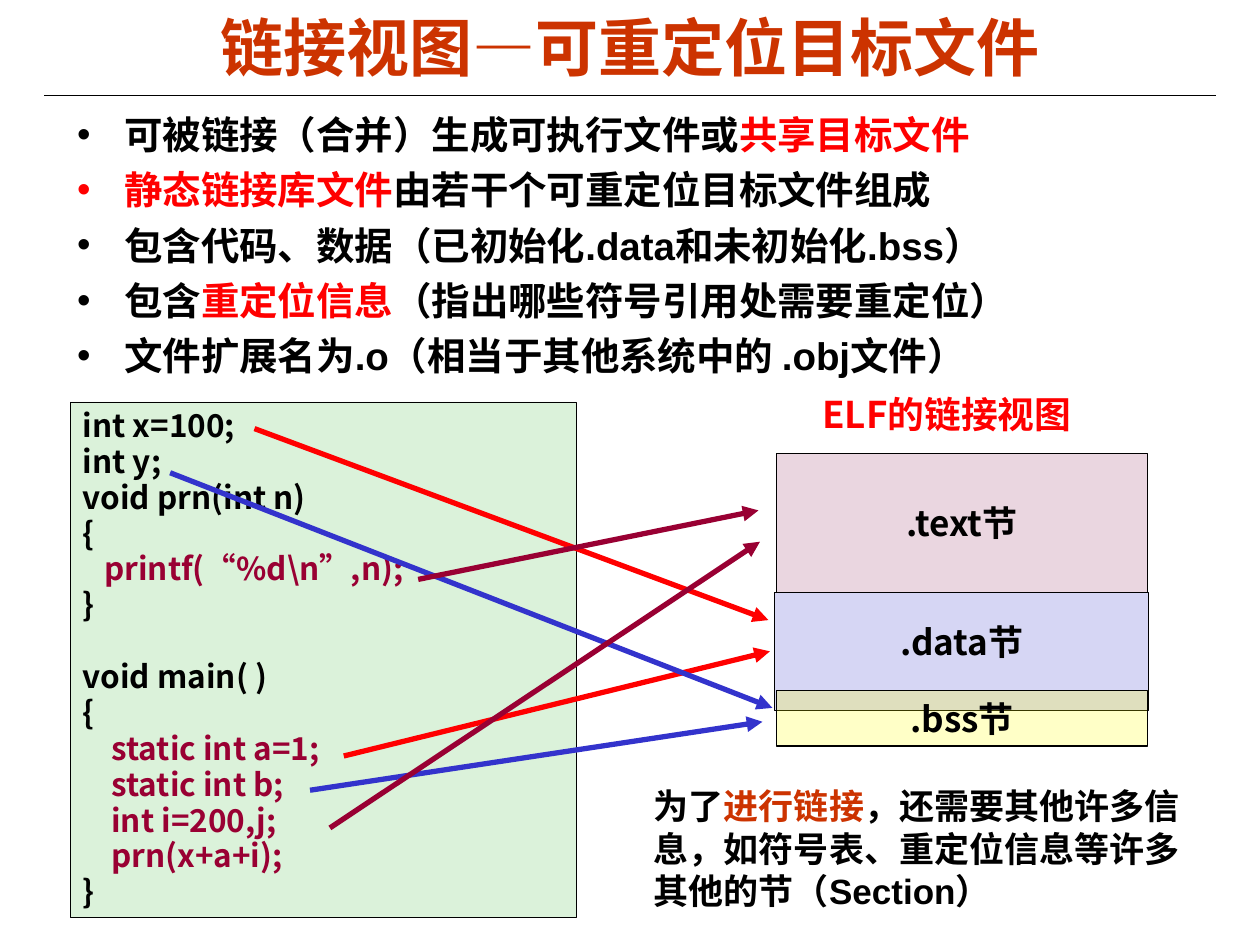
"""Build a slide on the linking view of a relocatable object file."""
import pptx
import pptx.util
import pptx.dml.color
import pptx.enum.shapes
import pptx.enum.text
import pptx.oxml.ns
from lxml import etree

Cm, Pt = pptx.util.Cm, pptx.util.Pt
RGB = pptx.dml.color.RGBColor.from_string
Align = pptx.enum.text.PP_ALIGN
Anchor = pptx.enum.text.MSO_ANCHOR
qn = pptx.oxml.ns.qn


class Theme:
    ink, rust, red = "000000", "CC3300", "FF0000"
    blue, wine, mint = "3333CC", "990033", "DBF2DA"
    plum, gold = "993366", "FFFF00"
    head, list, label, note, code = 36, 22, 21, 20, 18
    sans, cjk = "Arial", "Noto Sans CJK SC"


def write(frame, rows, size, face, form):
    """Fill a frame with rows of (text, colour) runs."""
    frame.word_wrap = True
    frame.auto_size = pptx.enum.text.MSO_AUTO_SIZE.NONE
    for n, row in enumerate(rows):
        para = frame.paragraphs[0] if n == 0 else frame.add_paragraph()
        for key, value in form.items():
            if n or key != "space_before":
                setattr(para, key, value)
        for text, color in row:
            run = para.add_run()
            run.text = text
            font = {"size": Pt(size), "name": face, "bold": True}
            for key, value in font.items():
                setattr(run.font, key, value)
            run.font.color.rgb = RGB(color)
            east = etree.SubElement(run.font._element, qn("a:ea"))
            east.set("typeface", Theme.cjk)


def draw(start, end, color, width):
    """Add a straight line and return its line properties."""
    kind = pptx.enum.shapes.MSO_CONNECTOR.STRAIGHT
    link = slide.shapes.add_connector(kind, *map(Cm, start + end))
    link.line.color.rgb = RGB(color)
    link.line.width = Pt(width)
    etree.SubElement(link._element.spPr, qn("a:effectLst"))
    return link._element.spPr.find(qn("a:ln"))


deck = pptx.Presentation()
deck.slide_width, deck.slide_height = Cm(25.4), Cm(19.05)
slide = deck.slides.add_slide(deck.slide_layouts[1])
title, body = slide.placeholders
spots = [(title, (1.27, 0.15, 22.86, 1.55)), (body, (1.3, 2.06, 22.86, 5.94))]
for item, spot in spots:
    for key, value in zip(("left", "top", "width", "height"), spot):
        setattr(item, key, Cm(value))

draw((0.89, 1.93), (24.51, 1.93), Theme.ink, 0.75)

title.text_frame.vertical_anchor = Anchor.MIDDLE
write(title.text_frame, [[("链接视图—可重定位目标文件", Theme.rust)]],
      Theme.head, Theme.sans, {"alignment": Align.CENTER})

points = [
    [("可被链接（合并）生成可执行文件或", Theme.ink), ("共享目标文件", Theme.red)],
    [("静态链接库文件", Theme.red), ("由若干个可重定位目标文件组成", Theme.ink)],
    [("包含代码、数据（已初始化.data和未初始化.bss）", Theme.ink)],
    [("包含", Theme.ink), ("重定位信息", Theme.red),
     ("（指出哪些符号引用处需要重定位）", Theme.ink)],
    [("文件扩展名为.o（相当于其他系统中的 .obj文件）", Theme.ink)],
]
write(body.text_frame, points, Theme.list, Theme.sans,
      {"line_spacing": Pt(27.6), "space_before": Pt(4.1)})
for para in body.text_frame.paragraphs:
    props = para._p.get_or_add_pPr()
    props.set("marL", str(Cm(0.95)))
    props.set("indent", str(-Cm(0.95)))
    etree.SubElement(props, qn("a:buChar")).set("char", "•")

code = [
    ("int x=100;", Theme.ink),
    ("int y;", Theme.ink),
    ("void prn(int n)", Theme.ink),
    ("{", Theme.ink),
    ("   printf(“%d\\n”,n);", Theme.wine),
    ("}", Theme.ink),
    ("void main( )", Theme.ink),
    ("{", Theme.ink),
    ("    static int a=1;", Theme.wine),
    ("    static int b;", Theme.wine),
    ("    int i=200,j;", Theme.wine),
    ("    prn(x+a+i);", Theme.wine),
    ("}", Theme.ink),
]
pitch = Pt(20.5)
mid = {"alignment": Align.CENTER}
boxes = [
    ((1.42, 8.1, 10.19, 10.39), Theme.mint, 100, 0.25, [[line] for line in code],
     Theme.code, Anchor.TOP, 0.13,
     {"alignment": Align.LEFT, "line_spacing": pitch}),
    ((15.65, 9.14, 7.49, 2.8), Theme.plum, 20, 0.75, [[(".text节", Theme.ink)]],
     Theme.note, Anchor.MIDDLE, 0.13, mid),
    ((15.62, 11.94, 7.54, 2.39), Theme.blue, 20, 0.75, [[(".data节", Theme.ink)]],
     Theme.note, Anchor.MIDDLE, 0.53, mid),
    ((15.65, 13.92, 7.49, 1.12), Theme.gold, 22, 0.75, [[(".bss节", Theme.ink)]],
     Theme.note, Anchor.MIDDLE, 0.13, mid),
]
for spot, fill, alpha, width, rows, size, anchor, foot, form in boxes:
    kind = pptx.enum.shapes.MSO_SHAPE.RECTANGLE
    box = slide.shapes.add_shape(kind, *map(Cm, spot))
    box.shadow.inherit = False
    box.fill.solid()
    box.fill.fore_color.rgb = RGB(fill)
    if alpha < 100:
        tint = box._element.spPr.find(qn("a:solidFill"))[0]
        etree.SubElement(tint, qn("a:alpha")).set("val", str(alpha * 1000))
    box.line.color.rgb = RGB(Theme.ink)
    box.line.width = Pt(width)
    box.text_frame.vertical_anchor = anchor
    box.text_frame.margin_bottom = Cm(foot)
    write(box.text_frame, rows, size, Theme.cjk, form)
    for para in box.text_frame.paragraphs:
        if para.text == "void main( )":
            para.space_before = pitch

notes = [
    ((16.33, 7.77, 6.2, 1.14), [[("ELF的链接视图", Theme.red)]],
     Theme.label, Theme.cjk, {}),
    ((12.93, 15.7, 11.4, 2.79),
     [[("为了", Theme.ink), ("进行链接", Theme.rust),
       ("，还需要其他许多信息，如符号表、重定位信息等许多其他的节（Section）",
        Theme.ink)]],
     Theme.note, Theme.sans, {"line_spacing": Pt(24)}),
]
for spot, rows, size, face, form in notes:
    note = slide.shapes.add_textbox(*map(Cm, spot))
    write(note.text_frame, rows, size, face, form)

arrows = [
    ((5.13, 8.64), (15.49, 12.5), Theme.red),
    ((6.93, 15.24), (15.52, 13.13), Theme.red),
    ((3.43, 9.53), (15.57, 14.27), Theme.blue),
    ((6.25, 15.93), (15.37, 14.55), Theme.blue),
    ((8.43, 11.68), (15.29, 10.29), Theme.wine),
    ((6.65, 16.69), (15.32, 10.92), Theme.wine),
]
for start, end, color in arrows:
    stroke = draw(start, end, color, 3)
    etree.SubElement(stroke, qn("a:tailEnd")).set("type", "triangle")

deck.save("out.pptx")
